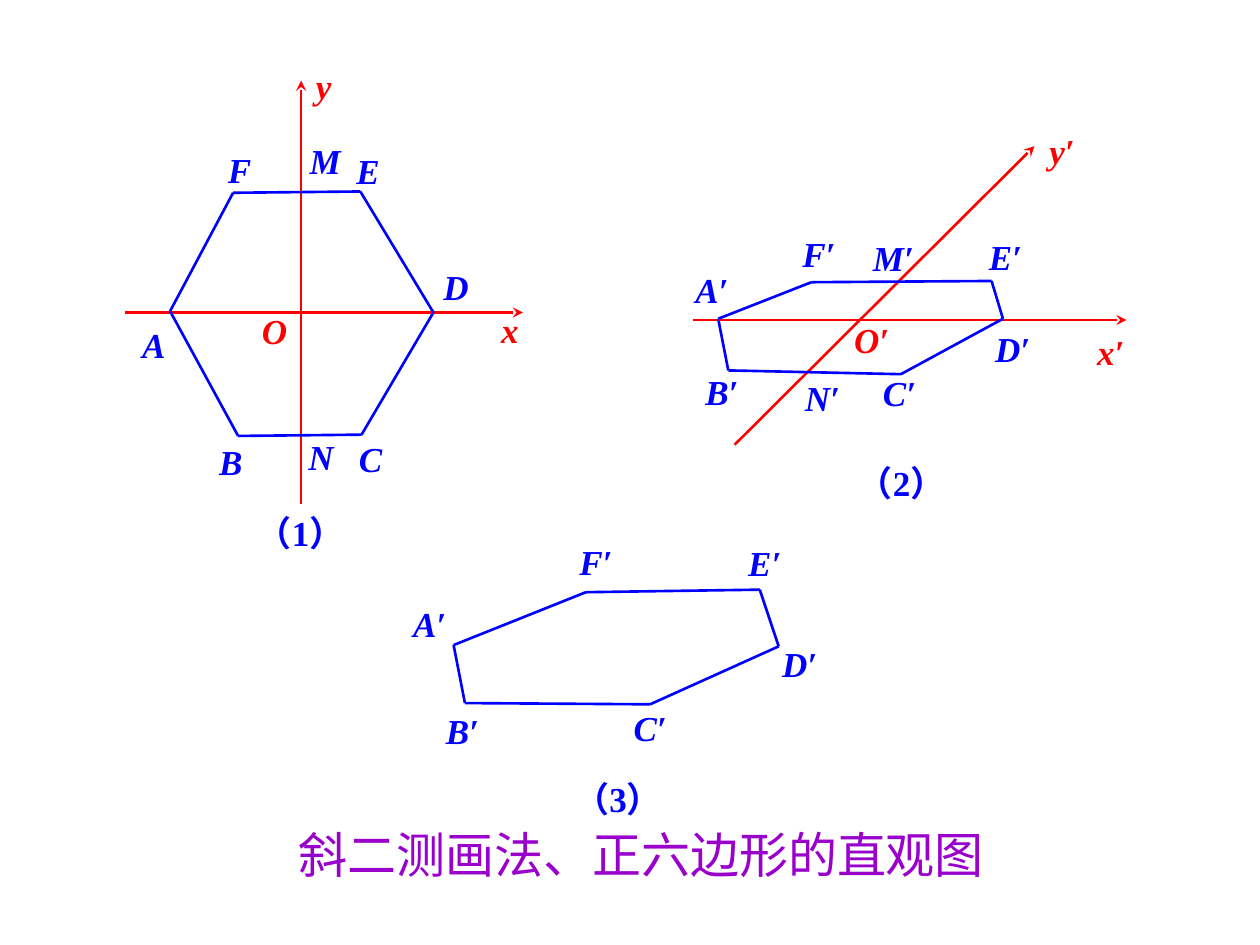
from dataclasses import dataclass

from lxml import etree
from pptx import Presentation
from pptx import util as u
from pptx.dml.color import RGBColor
from pptx.enum import shapes, text
from pptx.oxml import ns


@dataclass(frozen=True)
class Theme:
    font: str = "Times New Roman"
    axis: str = "FF0000"
    edge: str = "0000FF"
    title: str = "9900CC"
    big: int = 28
    small: int = 20
    line: float = 1.5


THEME = Theme()
LABEL = (1.06, 0.44)

# Points are (x, y) in inches from the top left of each figure box
PLAN = {
    "box": (0.9, 0.4),
    "mark": "",
    "axes": [((0.09, 2.08), (3.25, 2.08)), ((1.49, 3.6), (1.49, 0.24))],
    "points": [(0.45, 2.07), (0.99, 3.06), (1.97, 3.05),
               (2.54, 2.08), (1.96, 1.12), (0.95, 1.13)],
    "names": {"x": (2.98, 2.0), "y": (1.51, 0.06), "O": (1.08, 2.01),
              "A": (0.13, 2.12), "B": (0.74, 3.05), "C": (1.85, 3.02),
              "D": (2.52, 1.66), "E": (1.83, 0.74), "F": (0.81, 0.73),
              "N": (1.45, 3.01), "M": (1.46, 0.66)},
    "number": ("（1）", (1.04, 3.61)),
}
OBLIQUE = {
    "box": (5.4, 0.9),
    "mark": "′",
    "axes": [((0.1, 1.64), (3.54, 1.64)), ((0.43, 2.63), (2.81, 0.26))],
    "points": [(0.3, 1.63), (0.38, 2.04), (1.75, 2.07),
               (2.56, 1.63), (2.47, 1.33), (1.04, 1.34)],
    "names": {"x": (3.21, 1.67), "y": (2.83, 0.08), "O": (1.28, 1.58),
              "A": (0.02, 1.18), "B": (0.1, 1.99), "C": (1.51, 2.0),
              "D": (2.4, 1.65), "E": (2.35, 0.92), "F": (0.87, 0.9),
              "N": (0.89, 2.04), "M": (1.43, 0.93)},
    "number": ("（2）", (1.31, 2.71)),
}
RESULT = {
    "box": (3.1, 4.2),
    "mark": "′",
    "axes": [],
    "points": [(0.5, 0.92), (0.59, 1.38), (2.06, 1.39),
               (3.08, 0.93), (2.93, 0.48), (1.55, 0.5)],
    "names": {"A": (0.08, 0.53), "B": (0.34, 1.38), "C": (1.83, 1.36),
              "D": (3.01, 0.85), "E": (2.74, 0.05), "F": (1.4, 0.04)},
    "number": ("（3）", (1.36, 1.92)),
}


def write(shape, words, color, **style):
    """Fill a text shape with one formatted paragraph."""
    frame = shape.text_frame
    frame.text = words
    layout = {"word_wrap": True, "vertical_anchor": text.MSO_ANCHOR.TOP,
              "auto_size": text.MSO_AUTO_SIZE.SHAPE_TO_FIT_TEXT}
    for name, value in layout.items():
        setattr(frame, name, value)
    font = frame.paragraphs[0].runs[0].font
    for name, value in {"name": THEME.font, **style}.items():
        setattr(font, name, value)
    font.color.rgb = RGBColor.from_string(color)


def label(slide, box, spot, words, color, italic=True):
    left, top = (u.Inches(a + b) for a, b in zip(box, spot))
    shape = slide.shapes.add_textbox(left, top, *map(u.Inches, LABEL))
    write(shape, words, color, size=u.Pt(THEME.small), bold=True, italic=italic)


def stroke(slide, box, start, end, color, arrow=False):
    ends = [u.Inches(a + b) for spot in (start, end) for a, b in zip(box, spot)]
    line = slide.shapes.add_connector(shapes.MSO_CONNECTOR.STRAIGHT, *ends)
    line.line.width = u.Pt(THEME.line)
    line.line.color.rgb = RGBColor.from_string(color)
    if arrow:
        etree.SubElement(line.line._get_or_add_ln(), ns.qn("a:tailEnd"),
                         type="stealth")
    etree.SubElement(line._element.spPr, ns.qn("a:effectLst"))


def figure(slide, box, mark, axes, points, names, number):
    """Draw one hexagon with its axes, point names and number."""
    # Axes lie under the edges
    for start, end in axes:
        stroke(slide, box, start, end, THEME.axis, arrow=True)
    # Closed outline A to F
    for start, end in zip(points, points[1:] + points[:1]):
        stroke(slide, box, start, end, THEME.edge)
    # Names of axes and points
    for name, spot in names.items():
        color = THEME.axis if name in "xyO" else THEME.edge
        label(slide, box, spot, name + mark, color)
    words, spot = number
    label(slide, box, spot, words, THEME.edge, italic=False)


def caption(slide, box):
    """Place the slide title below the figures."""
    title = slide.shapes.title
    for name, value in zip(("left", "top", "width", "height"), box):
        setattr(title, name, u.Inches(value))
    write(title, "斜二测画法、正六边形的直观图", THEME.title, size=u.Pt(THEME.big))
    title.text_frame.paragraphs[0].alignment = text.PP_ALIGN.CENTER


def main():
    deck = Presentation()
    deck.slide_width, deck.slide_height = u.Inches(10), u.Inches(7.5)
    slide = deck.slides.add_slide(deck.slide_layouts[5])
    caption(slide, (1.34, 6.49, 7.5, 0.57))
    for part in (PLAN, OBLIQUE, RESULT):
        figure(slide, **part)
    deck.save("out.pptx")


if __name__ == "__main__":
    main()
